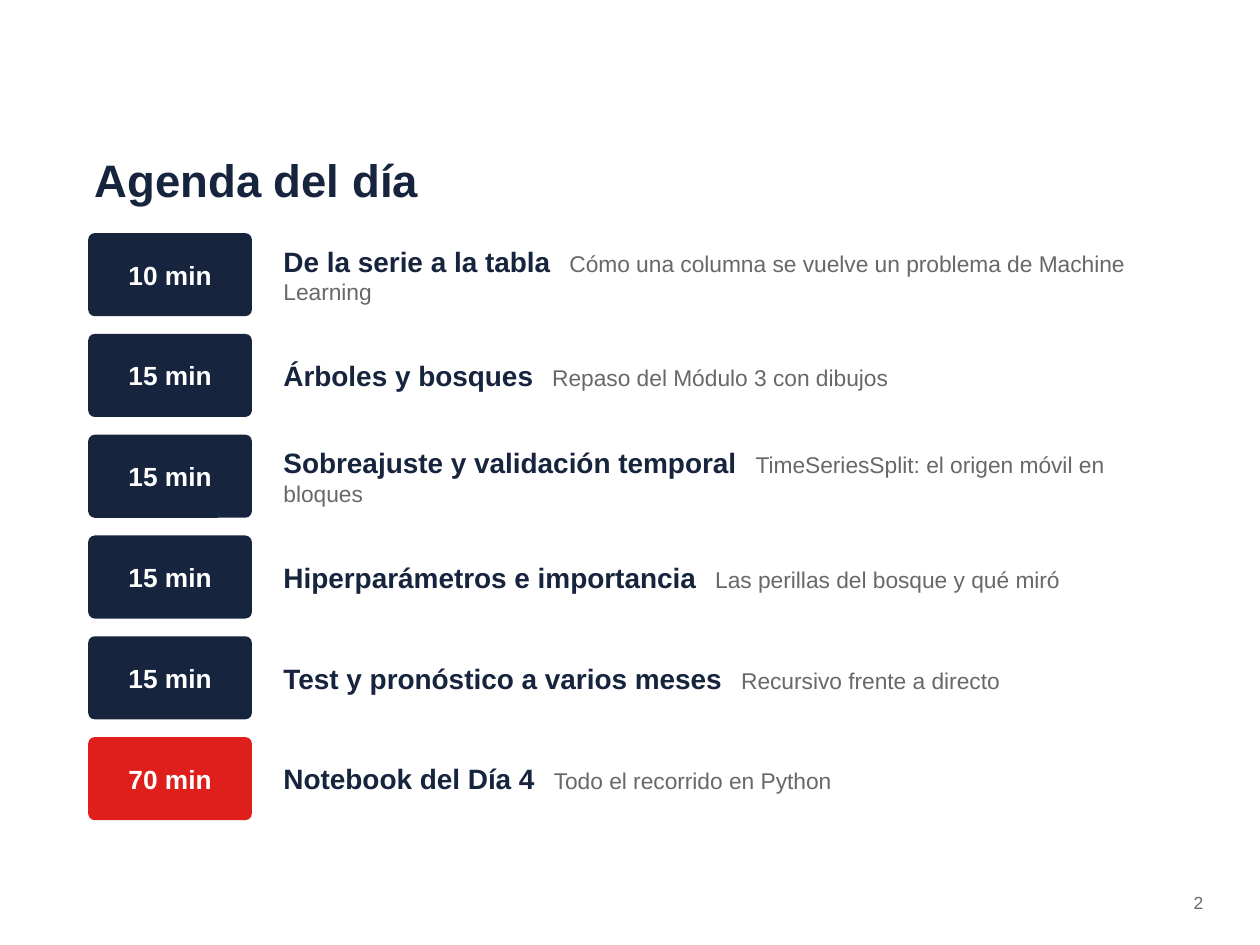
from dataclasses import dataclass

from pptx import Presentation
from pptx.dml.color import RGBColor
from pptx.enum.shapes import MSO_SHAPE
from pptx.enum.text import MSO_ANCHOR, MSO_AUTO_SIZE, PP_ALIGN
from pptx.util import Inches, Pt

ROUNDED = MSO_SHAPE.ROUNDED_RECTANGLE
TOP, MIDDLE = MSO_ANCHOR.TOP, MSO_ANCHOR.MIDDLE
GROW = MSO_AUTO_SIZE.SHAPE_TO_FIT_TEXT
LEFT, CENTER, RIGHT = PP_ALIGN.LEFT, PP_ALIGN.CENTER, PP_ALIGN.RIGHT
TITLE_ONLY = 5


@dataclass(frozen=True)
class Theme:
    font: str = "Arial"
    navy: str = "16243D"
    red: str = "DF1F1C"
    gray: str = "686867"
    white: str = "FFFFFF"
    title_size: int = 26
    topic_size: int = 16
    time_size: int = 15
    detail_size: int = 13
    number_size: int = 10
    detail_gap: float = 7.2


THEME = Theme()
ROW_LEFT, ROW_TOP, ROW_STEP, ROW_HEIGHT = 0.7, 1.85, 0.8, 0.66
TIME_WIDTH, TOPIC_LEFT, TOPIC_WIDTH = 1.3, 2.2, 7.1

AGENDA = [
    ("10 min", "De la serie a la tabla",
     "Cómo una columna se vuelve un problema de Machine Learning", THEME.navy),
    ("15 min", "Árboles y bosques", "Repaso del Módulo 3 con dibujos", THEME.navy),
    ("15 min", "Sobreajuste y validación temporal",
     "TimeSeriesSplit: el origen móvil en bloques", THEME.navy),
    ("15 min", "Hiperparámetros e importancia",
     "Las perillas del bosque y qué miró", THEME.navy),
    ("15 min", "Test y pronóstico a varios meses", "Recursivo frente a directo", THEME.navy),
    ("70 min", "Notebook del Día 4", "Todo el recorrido en Python", THEME.red),
]


def set_values(target, values):
    for name, value in values.items():
        setattr(target, name, value)


def place(shape, left, top, width, height):
    set_values(shape, {"left": Inches(left), "top": Inches(top),
                       "width": Inches(width), "height": Inches(height)})


def start_text(shape, align=LEFT, anchor=MIDDLE):
    frame = shape.text_frame
    set_values(frame, {
        "word_wrap": True, "auto_size": GROW, "vertical_anchor": anchor,
        "margin_left": Inches(0.05), "margin_right": Inches(0.05),
        "margin_top": Inches(0.03), "margin_bottom": Inches(0.03),
    })
    para = frame.paragraphs[0]
    set_values(para, {"alignment": align, "space_after": Pt(4)})
    return para


def add_span(para, text, size, color, bold=False):
    span = para.add_run()
    span.text = text
    set_values(span.font, {"name": THEME.font, "size": Pt(size), "bold": bold})
    span.font.color.rgb = RGBColor.from_string(color)
    return span


def add_gap(para):
    gap = add_span(para, " ", THEME.detail_size, THEME.gray)
    gap.font._element.set("spc", str(round(THEME.detail_gap * 100)))


def add_title(page, text):
    title = page.shapes.title
    place(title, 0.7, 1.05, 8.6, 0.75)
    add_span(start_text(title), text, THEME.title_size, THEME.navy, True)


def add_page_number(page, number):
    box = page.shapes.add_textbox(Inches(9), Inches(7.05), Inches(0.6), Inches(0.3))
    add_span(start_text(box, RIGHT, TOP), number, THEME.number_size, THEME.gray)


def add_time(page, top, text, color):
    badge = page.shapes.add_shape(ROUNDED, Inches(ROW_LEFT), Inches(top),
                                  Inches(TIME_WIDTH), Inches(ROW_HEIGHT))
    badge.adjustments[0] = 0.08
    badge.shadow.inherit = False
    badge.fill.solid()
    badge.fill.fore_color.rgb = RGBColor.from_string(color)
    badge.line.fill.background()
    add_span(start_text(badge, CENTER), text, THEME.time_size, THEME.white, True)


def add_topic(page, top, topic, detail):
    box = page.shapes.add_textbox(Inches(TOPIC_LEFT), Inches(top),
                                  Inches(TOPIC_WIDTH), Inches(ROW_HEIGHT))
    para = start_text(box)
    add_span(para, topic, THEME.topic_size, THEME.navy, True)
    add_gap(para)
    add_span(para, detail, THEME.detail_size, THEME.gray)


def main():
    deck = Presentation()
    set_values(deck, {"slide_width": Inches(10), "slide_height": Inches(7.5)})
    page = deck.slides.add_slide(deck.slide_layouts[TITLE_ONLY])
    add_title(page, "Agenda del día")
    for index, (time, topic, detail, color) in enumerate(AGENDA):
        top = ROW_TOP + index * ROW_STEP
        add_time(page, top, time, color)
        add_topic(page, top, topic, detail)
    add_page_number(page, "2")
    deck.save("out.pptx")


if __name__ == "__main__":
    main()
